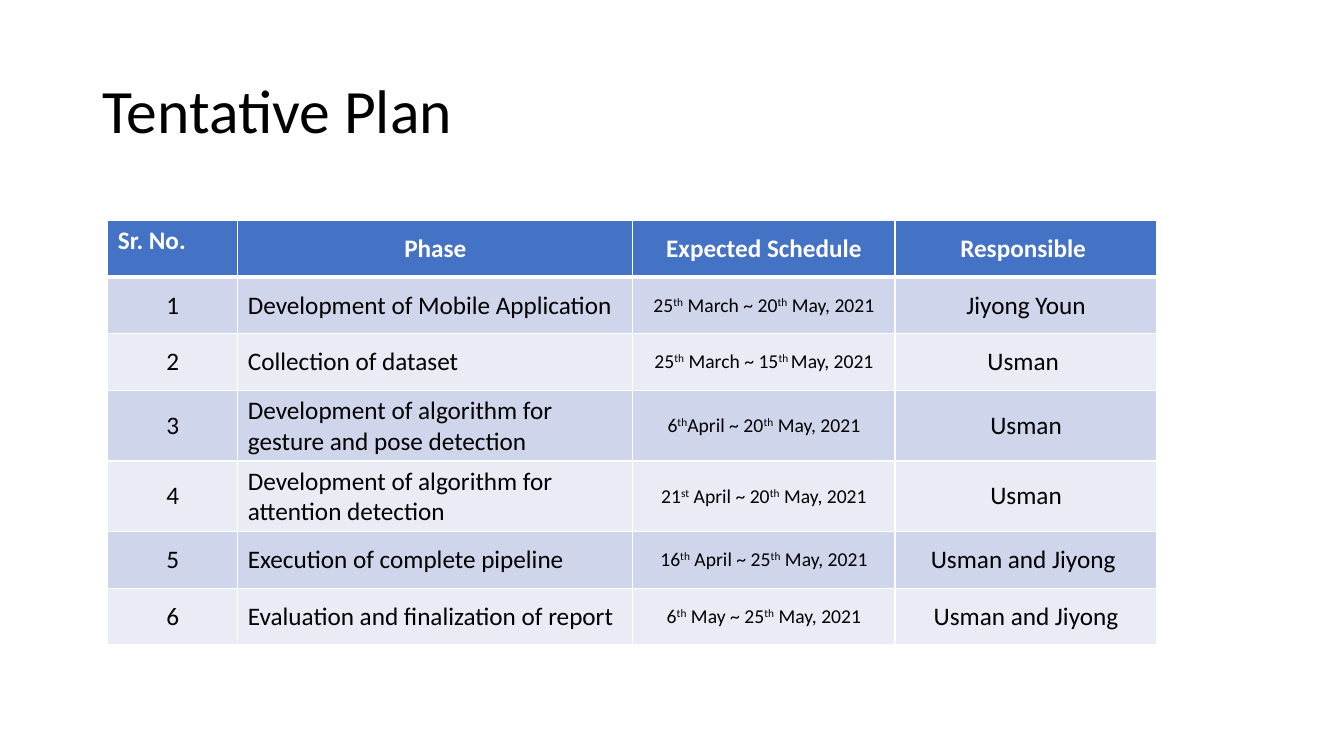
from lxml import etree
from pptx import Presentation
from pptx import util as u
from pptx.dml.color import RGBColor
from pptx.enum import text
from pptx.oxml import ns

BLACK = RGBColor(0x00, 0x00, 0x00)
WHITE = RGBColor(0xFF, 0xFF, 0xFF)
HEADER_BLUE = RGBColor(0x44, 0x72, 0xC4)
BANDS = [RGBColor(0xCF, 0xD5, 0xEA), RGBColor(0xE9, 0xEB, 0xF5)]

LEFT, CENTER = text.PP_ALIGN.LEFT, text.PP_ALIGN.CENTER
TOP, MIDDLE = text.MSO_ANCHOR.TOP, text.MSO_ANCHOR.MIDDLE

COLUMN_WIDTHS = [92.9, 282.2, 187.2, 187.2]
COLUMN_ALIGNS = [CENTER, LEFT, CENTER, CENTER]
COLUMN_SIZES = [18, 18, 14, 18]
ROW_HEIGHT = 40.4

HEADINGS = ["Sr. No.", "Phase", "Expected Schedule", "Responsible "]
# Text between carets is superscript.
PHASES = [
    ("Development of Mobile Application", "25^th^ March ~ 20^th^ May, 2021", "Jiyong Youn"),
    ("Collection of dataset", "25^th^ March ~ 15^th ^May, 2021", "Usman "),
    ("Development of algorithm for gesture and pose detection",
     "6^th^April ~ 20^th^ May, 2021", "Usman"),
    ("Development of algorithm for attention detection",
     "21^st^ April ~ 20^th^ May, 2021", "Usman"),
    ("Execution of complete pipeline", "16^th^ April ~ 25^th^ May, 2021", "Usman and Jiyong "),
    ("Evaluation and finalization of report", "6^th^ May ~ 25^th^ May, 2021", "Usman and Jiyong"),
]


class PlanSlide:
    def __init__(self, deck, font_name):
        self.slide = deck.slides.add_slide(deck.slide_layouts[6])
        self.font_name = font_name

    def add_words(self, para, words, size, color, bold=False):
        """Fill a paragraph, raising every part that stands between carets."""
        font_format = {"name": self.font_name, "size": u.Pt(size), "bold": bold}
        for index, part in enumerate(words.split("^")):
            span = para.add_run()
            span.text = part
            for name, value in font_format.items():
                setattr(span.font, name, value)
            span.font.color.rgb = color
            if index % 2:
                span.font._element.set("baseline", "30000")

    def title(self, words, left, top, width, height):
        box = self.slide.shapes.add_textbox(*map(u.Pt, (left, top, width, height)))
        frame = box.text_frame
        for name, value in {"word_wrap": True, "vertical_anchor": MIDDLE}.items():
            setattr(frame, name, value)
        para = frame.paragraphs[0]
        para.line_spacing = 0.9
        self.add_words(para, words, 44, BLACK)

    def borders(self, cell, widths):
        """Draw white cell borders from a dict of side letter to width."""
        properties = cell._tc.get_or_add_tcPr()
        for side, width in widths.items():
            line = etree.SubElement(properties, ns.qn(f"a:ln{side}"), w=str(u.Pt(width)))
            fill = etree.SubElement(line, ns.qn("a:solidFill"))
            etree.SubElement(fill, ns.qn("a:srgbClr"), val=str(WHITE))

    def cell(self, cell, words, fill, align, anchor, size, color, bold, widths):
        self.borders(cell, widths)
        cell.fill.solid()
        cell.fill.fore_color.rgb = fill
        cell.vertical_anchor = anchor
        para = cell.text_frame.paragraphs[0]
        para.alignment = align
        self.add_words(para, words, size, color, bold)

    def table(self, headings, rows, left, top):
        row_count = len(rows) + 1
        frame = self.slide.shapes.add_table(
            row_count, len(headings), u.Pt(left), u.Pt(top),
            u.Pt(sum(COLUMN_WIDTHS)), u.Pt(ROW_HEIGHT * row_count))
        table = frame.table
        for column, width in zip(table.columns, COLUMN_WIDTHS):
            column.width = u.Pt(width)
        for row in table.rows:
            row.height = u.Pt(ROW_HEIGHT)

        for column, words in enumerate(headings):
            align, anchor = (CENTER, MIDDLE) if column else (LEFT, TOP)
            self.cell(table.cell(0, column), words, HEADER_BLUE, align, anchor,
                      18, WHITE, True, {"L": 1, "R": 1, "T": 1, "B": 3})

        for number, row in enumerate(rows, start=1):
            widths = {"L": 1, "R": 1, "T": 3 if number == 1 else 1, "B": 1}
            for column, words in enumerate((str(number), *row)):
                self.cell(table.cell(number, column), words, BANDS[(number - 1) % 2],
                          COLUMN_ALIGNS[column], MIDDLE, COLUMN_SIZES[column],
                          BLACK, False, widths)


def main():
    deck = Presentation()
    deck.slide_width, deck.slide_height = u.Pt(960), u.Pt(540)
    page = PlanSlide(deck, "Calibri")
    page.title("Tentative Plan", 66, 28.75, 828, 104.4)
    page.table(HEADINGS, PHASES, 77, 157.7)
    deck.save("out.pptx")


if __name__ == "__main__":
    main()
